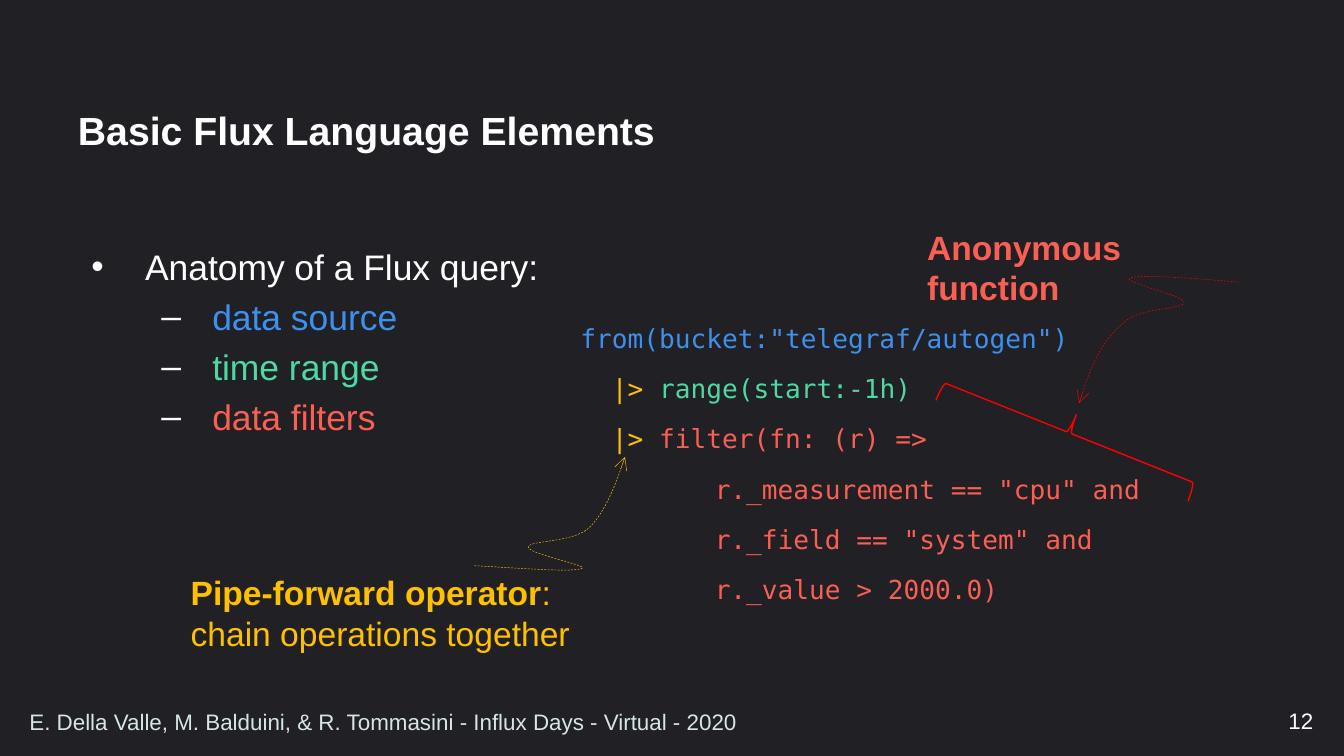
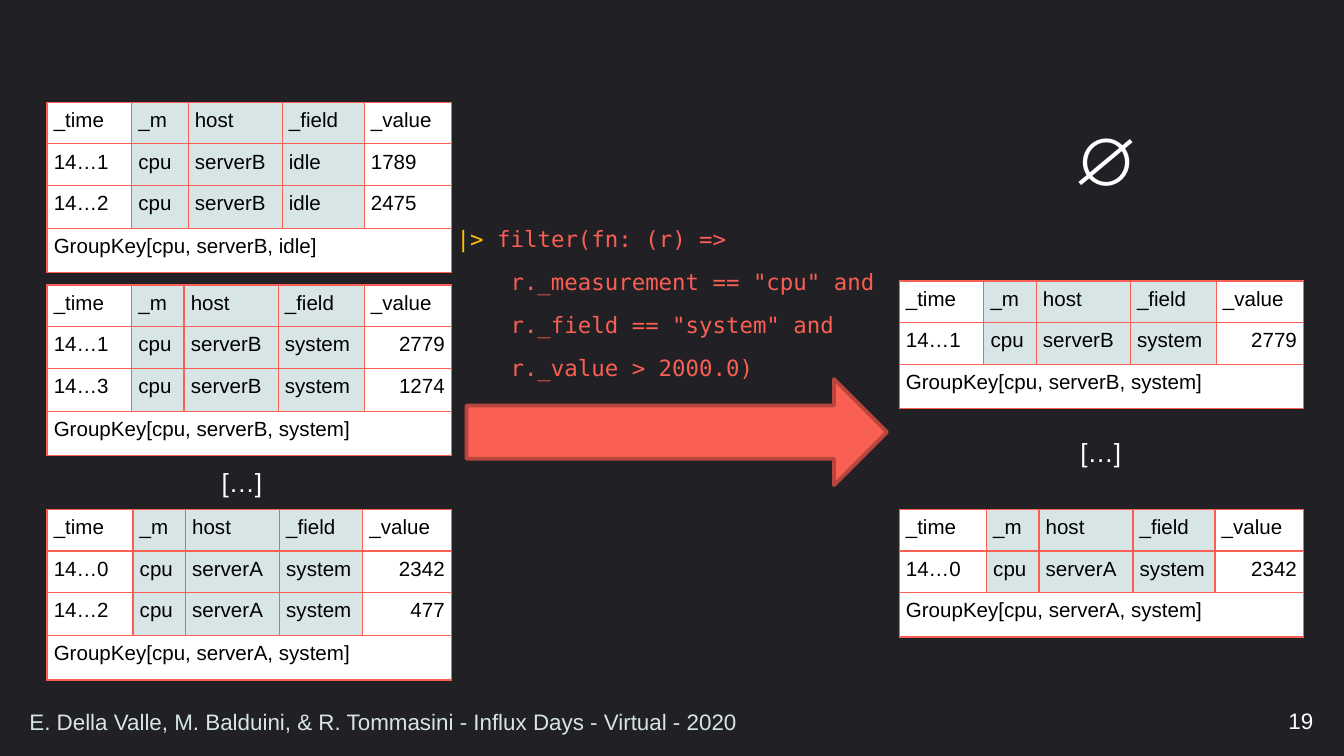
"""Builds two slides on the Flux query language and its filter step."""
from lxml.etree import SubElement
from pptx import Presentation
from pptx.dml.color import RGBColor
from pptx.enum.dml import MSO_LINE
from pptx.enum.shapes import MSO_SHAPE
from pptx.enum.text import MSO_ANCHOR, MSO_AUTO_SIZE, PP_ALIGN
from pptx.oxml.ns import qn
from pptx.util import Pt

PX = 9144
SANS, MONO = "Arial", "DejaVu Sans Mono"
DARK, WHITE, BLACK, PALE = "202025", "FFFFFF", "000000", "D7E5E6"
BLUE, GREEN, CORAL, GOLD = "3E90EF", "4FD8A2", "F95F53", "FFC000"
RED, BRICK = "FF0000", "B8463D"
CREDIT = "E. Della Valle, M. Balduini, & R. Tommasini - Influx Days - Virtual - 2020"


def tint(code):
    return RGBColor.from_string(code)


def place(shape, *box):
    shape.left, shape.top, shape.width, shape.height = (n * PX for n in box)


def write(para, text, size=11, color=BLACK, font=SANS, bold=False,
          align=PP_ALIGN.LEFT, line=None, before=None):
    para.alignment = align
    if line:
        para.line_spacing = line
    if before is not None:
        para.space_before = Pt(before)
    for count, part in enumerate(text.split("\n")):
        if count:
            para.add_line_break()
        run = para.add_run()
        run.text = part
        run.font.size = Pt(size)
        run.font.name = font
        run.font.bold = bold
        run.font.color.rgb = tint(color)


def indent(para, left, first=0):
    props = para._p.get_or_add_pPr()
    props.set("marL", str(left * PX))
    props.set("indent", str(first * PX))
    return props


def bullet(para, mark, left, first):
    props = indent(para, left, first)
    shade = SubElement(props, qn("a:buClr"))
    SubElement(shade, qn("a:srgbClr"), val=WHITE)
    SubElement(props, qn("a:buFont"), typeface=SANS)
    SubElement(props, qn("a:buChar"), char=mark)


def curve(points):
    dots = []
    for k in range(0, len(points) - 1, 3):
        for step in range(1, 17):
            t = step / 16
            mix = ((1 - t) ** 3, 3 * t * (1 - t) ** 2, 3 * t * t * (1 - t), t ** 3)
            dots.append(tuple(
                sum(m * p[axis] for m, p in zip(mix, points[k:k + 4])) * PX
                for axis in (0, 1)))
    return dots


class Deck:
    """Holds the shared style and the current slide."""

    def __init__(self):
        self.file = Presentation()
        self.file.slide_width = 1000 * PX
        self.file.slide_height = 1000 * PX * 9 // 16
        fill = self.file.slide_master.background.fill
        fill.solid()
        fill.fore_color.rgb = tint(DARK)

    def page(self, layout, number):
        self.slide = self.file.slides.add_slide(self.file.slide_layouts[layout])
        self.shapes = self.slide.shapes
        self.text((762, 521, 225, 30), [[(number, WHITE)]], size=12,
                  align=PP_ALIGN.RIGHT, anchor=MSO_ANCHOR.MIDDLE)
        self.text((12, 522, 745, 29), [[(CREDIT, PALE)]], size=12,
                  anchor=MSO_ANCHOR.MIDDLE)

    def holder(self, index, box, anchor):
        shape = self.slide.placeholders[index]
        place(shape, *box)
        frame = shape.text_frame
        frame.auto_size = MSO_AUTO_SIZE.NONE
        frame.vertical_anchor = anchor
        frame.margin_left = frame.margin_right = 7 * PX
        frame.margin_top = frame.margin_bottom = 4 * PX
        return frame

    def title(self, text):
        frame = self.holder(0, (51, 67, 898, 64), MSO_ANCHOR.MIDDLE)
        write(frame.paragraphs[0], text, size=21, color=WHITE, bold=True, line=0.9)

    def body(self, head, items):
        frame = self.holder(1, (51, 178, 898, 329), MSO_ANCHOR.TOP)
        para = frame.paragraphs[0]
        bullet(para, "•", 50, -40)
        write(para, head, size=19, color=WHITE, before=0)
        for text, color in items:
            para = frame.add_paragraph()
            para.level = 1
            bullet(para, "–", 100, -38)
            write(para, text, size=19, color=color, before=4)

    def text(self, box, rows, wrap=True, anchor=MSO_ANCHOR.TOP, **style):
        shape = self.shapes.add_textbox(*(n * PX for n in box))
        frame = shape.text_frame
        frame.word_wrap = wrap
        frame.vertical_anchor = anchor
        for k, row in enumerate(rows):
            para = frame.add_paragraph() if k else frame.paragraphs[0]
            for text, color, *bold in row:
                write(para, text, color=color, bold=bool(bold), **style)
        return frame

    def code(self, box, rows, size):
        return self.text(box, rows, size=size, font=MONO, line=1.6)

    def arrow(self, points, color):
        x, y = points[0]
        path = self.shapes.build_freeform(x * PX, y * PX)
        path.add_line_segments(curve(points), close=False)
        shape = path.convert_to_shape()
        shape.shadow.inherit = False
        shape.fill.background()
        shape.line.color.rgb = tint(color)
        shape.line.width = Pt(0.25)
        shape.line.dash_style = MSO_LINE.DASH
        SubElement(shape.line._get_or_add_ln(), qn("a:tailEnd"), type="arrow")

    def form(self, kind, box, turn, edge, width, fill=None):
        shape = self.shapes.add_shape(kind, *(n * PX for n in box))
        shape.rotation = turn
        shape.shadow.inherit = False
        shape.line.color.rgb = tint(edge)
        shape.line.width = Pt(width)
        if fill:
            shape.fill.solid()
            shape.fill.fore_color.rgb = tint(fill)
        else:
            shape.fill.background()

    def cell(self, cell, text, fill, align):
        props = cell._tc.get_or_add_tcPr()
        for side in ("L", "R", "T", "B"):
            edge = SubElement(props, qn("a:ln" + side), w=str(Pt(0.75)))
            paint = SubElement(edge, qn("a:solidFill"))
            SubElement(paint, qn("a:srgbClr"), val=CORAL)
        cell.fill.solid()
        cell.fill.fore_color.rgb = tint(fill)
        cell.margin_left = cell.margin_right = 5 * PX
        cell.margin_top = cell.margin_bottom = 5 * PX
        if text:
            write(cell.text_frame.paragraphs[0], text, align=align)

    def grid(self, x, y, cols, host, field, data, align=PP_ALIGN.RIGHT):
        rows = [("_time", "_m", "host", "_field", "_value")]
        rows += [(time, "cpu", host, field, value) for time, value in data]
        rows.append((f"GroupKey[cpu, {host}, {field}]", "", "", "", ""))
        last = len(rows) - 1
        highs = [31, 31, 32][:last] + [33]
        box = (x, y, sum(cols), sum(highs))
        table = self.shapes.add_table(
            len(rows), len(cols), *(n * PX for n in box)).table
        table.first_row = table.horz_banding = False
        for col, wide in zip(table.columns, cols):
            col.width = wide * PX
        for r, row in enumerate(rows):
            table.rows[r].height = highs[r] * PX
            for c, text in enumerate(row):
                fill = PALE if r < last and 0 < c < 4 else WHITE
                side = align if 0 < r < last and c == 4 else PP_ALIGN.LEFT
                self.cell(table.cell(r, c), text, fill, side)
        table.cell(last, 0).merge(table.cell(last, 4))


def basics(deck):
    deck.page(1, "12")
    deck.title("Basic Flux Language Elements")
    deck.body("Anatomy of a Flux query:", [
        ("data source", BLUE), ("time range", GREEN), ("data filters", CORAL)])
    frame = deck.code((422, 221, 500, 232), [
        [('from(bucket:"telegraf/autogen")', BLUE)],
        [("  |> ", GOLD), ("range(start:-1h)", GREEN)],
        [("  |> ", GOLD), ("filter(fn: (r) =>", CORAL)],
        [('r._measurement == "cpu" and', CORAL)],
        [('r._field == "system" and', CORAL)],
        [("r._value > 2000.0)", CORAL)]], 14)
    for para in frame.paragraphs[3:]:
        indent(para, 100)
    deck.text((132, 421, 309, 71), [
        [("Pipe-forward operator", GOLD, True),
         (": \nchain operations together", GOLD)]], size=18)
    deck.arrow([(353, 421), (390, 423), (426, 426), (433, 423), (439, 421),
                (392, 412), (393, 407), (394, 402), (426, 404), (438, 393),
                (450, 382), (458, 361), (465, 340)], GOLD)
    deck.text((680, 164, 260, 40), [[("Anonymous function", CORAL, True)]], size=18)
    deck.arrow([(922, 210), (885, 207), (848, 204), (841, 207), (834, 210),
                (882, 220), (881, 225), (881, 231), (847, 228), (835, 241),
                (822, 253), (814, 264), (803, 300)], RED)
    deck.form(MSO_SHAPE.RIGHT_BRACE, (781, 221, 29, 202), 291.8, RED, 0.75)


def sieve(deck):
    deck.page(6, "19")
    left, right = 35, 669
    cols = (63, 39, 70, 64, 65)
    deck.grid(left, 379, (64, 39, 70, 62, 66), "serverA", "system",
              [("14…0", "2342"), ("14…2", "477")])
    deck.grid(left, 212, cols, "serverB", "system",
              [("14…1", "2779"), ("14…3", "1274")])
    deck.grid(left, 76, (63, 42, 70, 61, 65), "serverB", "idle",
              [("14…1", "1789"), ("14…2", "2475")], PP_ALIGN.LEFT)
    deck.code((330, 151, 500, 141), [
        [("|> ", GOLD), ("filter(fn: (r) =>", CORAL)],
        [('    r._measurement == "cpu" and', CORAL)],
        [('    r._field == "system" and', CORAL)],
        [("    r._value > 2000.0)", CORAL)]], 12)
    deck.form(MSO_SHAPE.UP_ARROW, (464, 165, 79, 313), 90, BRICK, 2, CORAL)
    deck.grid(right, 379, (65, 39, 70, 61, 66), "serverA", "system",
              [("14…0", "2342")])
    deck.grid(right, 209, cols, "serverB", "system", [("14…1", "2779")])
    for x, y in ((155, 342), (794, 320)):
        deck.text((x, y, 51, 34), [[("[…]", WHITE)]], wrap=False, size=14)
    deck.text((788, 83, 52, 71), [[("∅", WHITE)]], wrap=False, size=36)


def main():
    deck = Deck()
    basics(deck)
    sieve(deck)
    deck.file.save("out.pptx")


if __name__ == "__main__":
    main()
